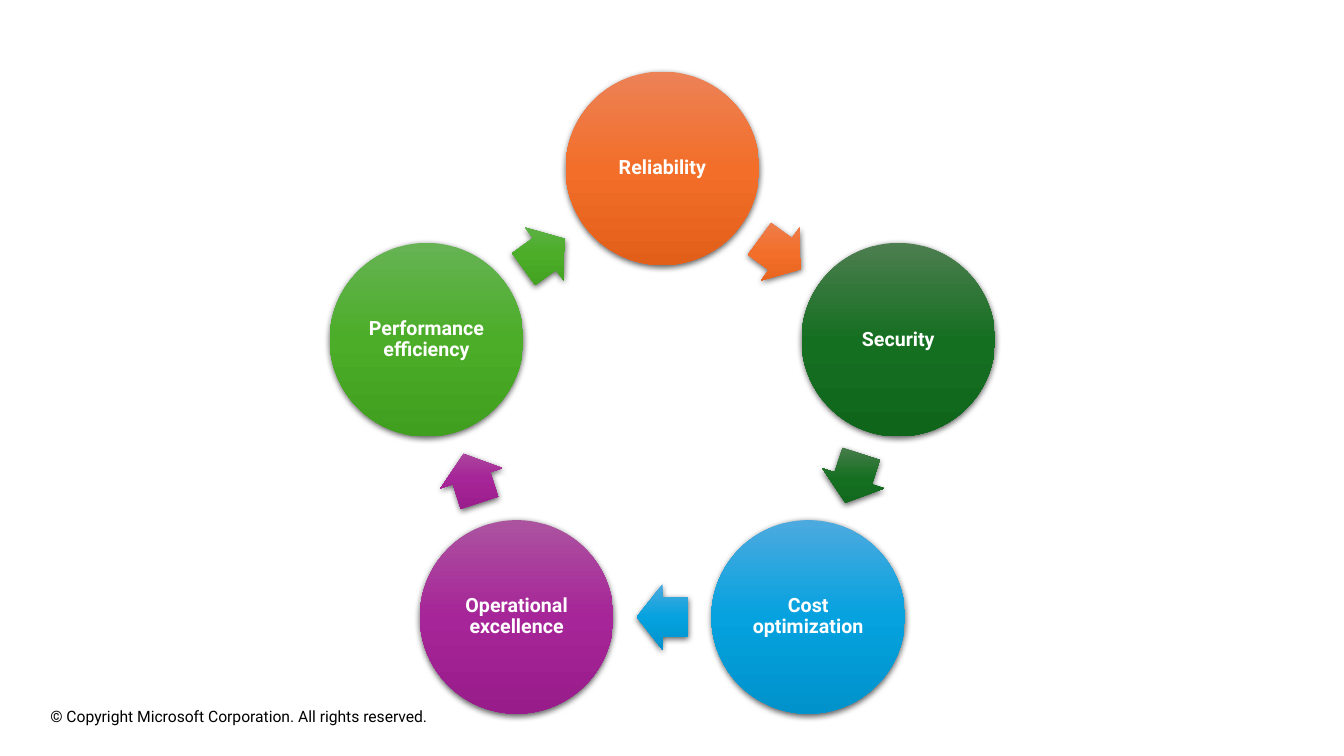
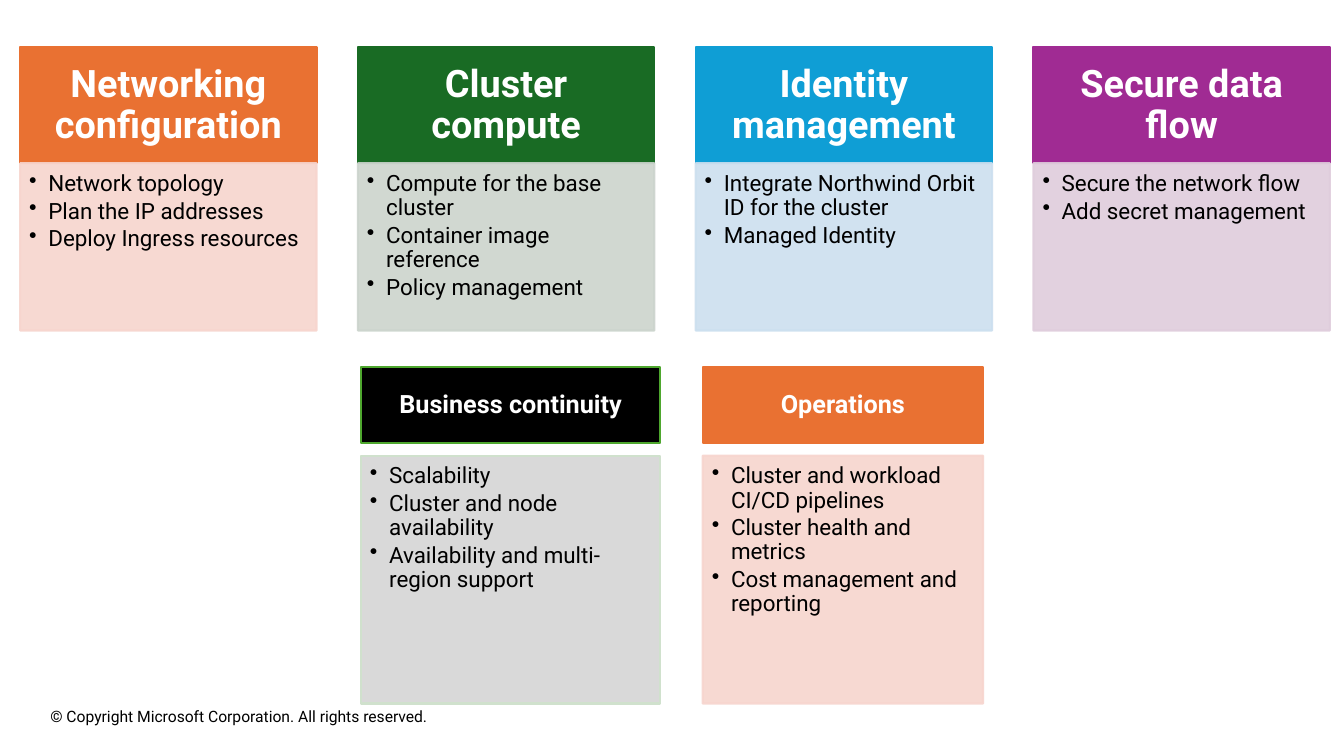
from dataclasses import dataclass
from math import cos, radians, sin

from pptx import Presentation
from pptx.dml.color import RGBColor
from pptx.enum.shapes import MSO_SHAPE as Preset
from pptx.enum.text import MSO_ANCHOR as Anchor, PP_ALIGN as Align
from pptx.oxml import parse_xml
from pptx.oxml.ns import nsdecls, qn
from pptx.util import Inches, Pt


@dataclass(frozen=True)
class Theme:
    font: str = "Roboto"
    black: str = "000000"
    white: str = "FFFFFF"
    orange: str = "E97132"
    green: str = "196B24"
    blue: str = "0F9ED5"
    purple: str = "A02B93"
    lime: str = "4EA72E"
    orange_tint: str = "F7D5CE"
    green_tint: str = "CCD4CD"
    blue_tint: str = "CCDFEF"
    purple_tint: str = "DFCDDC"
    gray_tint: str = "D9D9D9"
    lime_tint: str = "D0E1CD"
    orange_ramp: tuple[str, ...] = ("ED8257", "F26E29", "E25F1A")
    green_ramp: tuple[str, ...] = ("4D7E50", "156F21", "0F661B")
    blue_ramp: tuple[str, ...] = ("4CAADF", "05A2DF", "0092CB")
    purple_ramp: tuple[str, ...] = ("AC53A0", "A62598", "991C8B")
    lime_ramp: tuple[str, ...] = ("66B354", "4BAD28", "409F1E")
    footer_size: float = 11.2
    circle_size: float = 14
    body_size: float = 16
    small_head_size: float = 18
    large_head_size: float = 27


THEME = Theme()


@dataclass(frozen=True)
class Pillar:
    label: str
    ramp: tuple[str, ...]


@dataclass(frozen=True)
class Row:
    """Vertical measures (inches) and heading style shared by a row of cards."""
    top: float
    head_height: float
    body_top: float
    body_height: float
    head_size: float
    head_insets: tuple[float, ...]


@dataclass(frozen=True)
class Card:
    title: str
    items: tuple[str, ...]
    color: str
    tint: str
    edge: str = ""
    tint_edge: str = ""
    opacity: int = 90


PILLARS = (
    Pillar("Reliability", THEME.orange_ramp),
    Pillar("Security", THEME.green_ramp),
    Pillar("Cost optimization", THEME.blue_ramp),
    Pillar("Operational excellence", THEME.purple_ramp),
    Pillar("Performance efficiency", THEME.lime_ramp),
)

TOP_ROW = Row(0.47, 1.15, 1.62, 1.66, THEME.large_head_size, (0.21, 0.12, 0.21, 0.12))
LOW_ROW = Row(3.64, 0.76, 4.52, 2.46, THEME.small_head_size, (0.14, 0.08, 0.14, 0.08))
BODY_INSETS = (0.09, 0.09, 0.12, 0.14)

TOP_CARDS = (
    Card("Networking configuration",
         ("Network topology", "Plan the IP addresses", "Deploy Ingress resources"),
         THEME.orange, THEME.orange_tint),
    Card("Cluster compute",
         ("Compute for the base cluster", "Container image reference",
          "Policy management"),
         THEME.green, THEME.green_tint),
    Card("Identity management",
         ("Integrate Northwind Orbit ID for the cluster", "Managed Identity"),
         THEME.blue, THEME.blue_tint),
    Card("Secure data flow",
         ("Secure the network flow", "Add secret management"),
         THEME.purple, THEME.purple_tint),
)
CONTINUITY = Card(
    "Business continuity",
    ("Scalability", "Cluster and node availability",
     "Availability and multi-region support"),
    THEME.black, THEME.gray_tint, THEME.lime, THEME.lime_tint, 100)
OPERATIONS = Card(
    "Operations",
    ("Cluster and workload CI/CD pipelines", "Cluster health and metrics",
     "Cost management and reporting"),
    THEME.orange, THEME.orange_tint)


# Text helpers
def set_frame(box, insets: tuple[float, ...], anchor=Anchor.TOP) -> None:
    frame = box.text_frame
    frame.word_wrap = True
    frame.vertical_anchor = anchor
    (frame.margin_left, frame.margin_top,
     frame.margin_right, frame.margin_bottom) = map(Inches, insets)


def add_span(para, text: str, size: float, color: str, bold: bool = False) -> None:
    span = para.add_run()
    span.text = text
    span.font.name = THEME.font
    span.font.size = Pt(size)
    span.font.bold = bold
    span.font.color.rgb = RGBColor.from_string(color)


def write_heading(box, text: str, size: float, insets: tuple[float, ...]) -> None:
    set_frame(box, insets, Anchor.MIDDLE)
    para = box.text_frame.paragraphs[0]
    para.alignment = Align.CENTER
    para.line_spacing = 0.9
    add_span(para, text, size, THEME.white, bold=True)


def write_bullets(box, items: tuple[str, ...]) -> None:
    set_frame(box, BODY_INSETS)
    frame = box.text_frame
    for index, item in enumerate(items):
        para = frame.add_paragraph() if index else frame.paragraphs[0]
        properties = para._p.get_or_add_pPr()
        properties.set("marL", str(Inches(0.19)))
        properties.set("indent", str(-Inches(0.19)))
        properties.append(parse_xml(f'<a:buChar {nsdecls("a")} char="•"/>'))
        para.alignment = Align.LEFT
        para.line_spacing = 0.9
        para.space_after = Pt(0.15 * THEME.body_size)
        add_span(para, item, THEME.body_size, THEME.black)


# Shape helpers
def add_panel(page, left: float, top: float, width: float, height: float,
              fill: str, edge: str, opacity: int = 100):
    panel = page.shapes.add_shape(Preset.RECTANGLE, Inches(left), Inches(top),
                                  Inches(width), Inches(height))
    panel.shadow.inherit = False
    panel.fill.solid()
    panel.fill.fore_color.rgb = RGBColor.from_string(fill)
    panel.line.color.rgb = RGBColor.from_string(edge)
    panel.line.width = Pt(1.5)
    if opacity < 100:
        for color in panel.element.spPr.iter(qn("a:srgbClr")):
            color.append(parse_xml(
                f'<a:alpha {nsdecls("a")} val="{opacity * 1000}"/>'))
    return panel


def add_glossy(page, preset, center: tuple[float, float],
               width: float, height: float, ramp: tuple[str, ...]):
    """Shape with a vertical gradient and a soft shadow, placed by its center."""
    x, y = center
    shape = page.shapes.add_shape(preset, Inches(x - width / 2), Inches(y - height / 2),
                                  Inches(width), Inches(height))
    stops = "".join(
        f'<a:gs pos="{index * 50000}"><a:srgbClr val="{color}"/></a:gs>'
        for index, color in enumerate(ramp))
    properties = shape.element.spPr
    properties.find(qn("a:prstGeom")).addnext(parse_xml(
        f'<a:gradFill {nsdecls("a")} rotWithShape="0"><a:gsLst>{stops}</a:gsLst>'
        '<a:lin ang="5400000" scaled="0"/></a:gradFill>'))
    shape.line.fill.background()
    shape.shadow.inherit = False
    properties.find(qn("a:effectLst")).append(parse_xml(
        f'<a:outerShdw {nsdecls("a")} blurRad="{Pt(4.5)}" dist="{Pt(1.5)}" '
        'dir="5400000" algn="ctr" rotWithShape="0">'
        f'<a:srgbClr val="{THEME.black}"><a:alpha val="63000"/></a:srgbClr>'
        '</a:outerShdw>'))
    return shape


def add_card(page, card: Card, row: Row, left: float, width: float) -> None:
    head = add_panel(page, left, row.top, width, row.head_height,
                     card.color, card.edge or card.color)
    write_heading(head, card.title, row.head_size, row.head_insets)
    body = add_panel(page, left, row.body_top, width, row.body_height,
                     card.tint, card.tint_edge or card.tint, card.opacity)
    write_bullets(body, card.items)


# Shared layout
def put_footer_on_layout(layout, page) -> None:
    """Write the copyright line once, on the layout that all pages use."""
    for placeholder in list(layout.placeholders):
        layout.shapes.element.remove(placeholder.element)
    box = page.shapes.add_textbox(Inches(0.5), Inches(7.01), Inches(4.06), Inches(0.19))
    set_frame(box, (0, 0, 0, 0))
    add_span(box.text_frame.paragraphs[0],
             "© Copyright Microsoft Corporation. All rights reserved.",
             THEME.footer_size, THEME.black)
    layout.shapes.element.append(box.element)


# Pages
def ring_point(angle: float, radius: float) -> tuple[float, float]:
    """Point on the ring, clockwise from the top."""
    center_x, center_y = 6.57, 4.13
    turn = radians(angle)
    return center_x + radius * sin(turn), center_y - radius * cos(turn)


def draw_pillars(page) -> None:
    radius = 2.46
    step = 360 / len(PILLARS)
    arrow_radius = radius * cos(radians(step / 2))
    for index, pillar in enumerate(PILLARS):
        angle = index * step
        circle = add_glossy(page, Preset.OVAL, ring_point(angle, radius),
                            1.92, 1.92, pillar.ramp)
        write_heading(circle, pillar.label, THEME.circle_size, (0.02,) * 4)
        middle = angle + step / 2
        arrow = add_glossy(page, Preset.RIGHT_ARROW, ring_point(middle, arrow_radius),
                           0.51, 0.65, pillar.ramp)
        arrow.adjustments[0] = 0.6
        arrow.adjustments[1] = 0.5
        arrow.rotation = middle


def draw_cards(page) -> None:
    left, width, gap = 0.2, 2.94, 0.41
    for index, card in enumerate(TOP_CARDS):
        add_card(page, card, TOP_ROW, left + index * (width + gap), width)
    add_card(page, CONTINUITY, LOW_ROW, 3.58, 2.97)
    add_card(page, OPERATIONS, LOW_ROW, 6.97, 2.78)


def main() -> None:
    deck = Presentation()
    deck.slide_width = Inches(13.33)
    deck.slide_height = Inches(7.5)
    blank = deck.slide_layouts[6]
    pages = [deck.slides.add_slide(blank) for _ in range(2)]
    put_footer_on_layout(blank, pages[0])
    for page, draw in zip(pages, (draw_pillars, draw_cards)):
        draw(page)
    deck.save("out.pptx")


if __name__ == "__main__":
    main()
